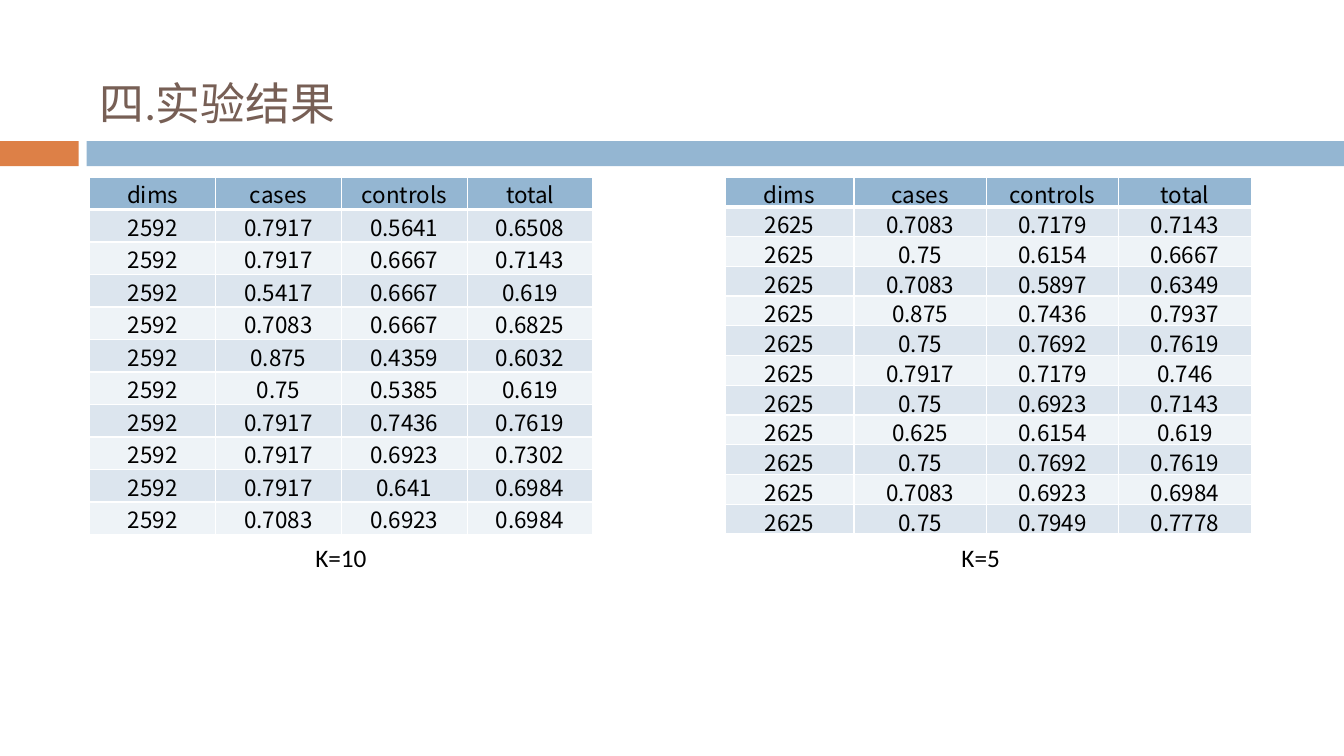
from lxml import etree
from pptx import Presentation
from pptx import util as u
from pptx.dml.color import RGBColor
from pptx.enum import shapes, text
from pptx.oxml.ns import qn

COLORS = {"orange": "DD8047", "blue": "94B6D2", "brown": "775F55", "black": "000000",
          "white": "FFFFFF", "band": "DCE5EE", "pale": "EEF3F7"}
COLORS = {name: RGBColor.from_string(value) for name, value in COLORS.items()}
HEADINGS = "dims cases controls total".split()
TABLE_TOP = 23.4
RESULTS = [
    {"caption": "K=10", "caption_left": 22.73, "left": 6.68, "widths": [9.36] * 4,
     "row": 4.3, "dims": "2592", "scores": """
     0.7917 0.5641 0.6508
     0.7917 0.6667 0.7143
     0.5417 0.6667 0.619
     0.7083 0.6667 0.6825
     0.875 0.4359 0.6032
     0.75 0.5385 0.619
     0.7917 0.7436 0.7619
     0.7917 0.6923 0.7302
     0.7917 0.641 0.6984
     0.7083 0.6923 0.6984"""},
    {"caption": "K=5", "caption_left": 70.8, "left": 53.94, "widths": [9.6] + [9.85] * 3,
     "row": 3.94, "dims": "2625", "scores": """
     0.7083 0.7179 0.7143
     0.75 0.6154 0.6667
     0.7083 0.5897 0.6349
     0.875 0.7436 0.7937
     0.75 0.7692 0.7619
     0.7917 0.7179 0.746
     0.75 0.6923 0.7143
     0.625 0.6154 0.619
     0.75 0.7692 0.7619
     0.7083 0.6923 0.6984
     0.75 0.7949 0.7778"""},
]

deck = Presentation()
deck.slide_width, deck.slide_height = u.Inches(13.33), u.Inches(7.5)
page = deck.slides.add_slide(deck.slide_layouts[6])


def area(left, top, width, height):
    across, down = deck.slide_width / 100, deck.slide_height / 100
    return [round(share) for share in (left * across, top * down, width * across, height * down)]


def write(frame, words, size, font, color):
    para = frame.paragraphs[0]
    para.text = words
    para.font.size, para.font.name = u.Pt(size), font
    para.font.color.rgb = COLORS[color]
    return para


for left, width, color in [(0, 5.85, "orange"), (6.45, 93.55, "blue")]:
    bar = page.shapes.add_shape(shapes.MSO_SHAPE.RECTANGLE, *area(left, 18.67, width, 3.33))
    bar.shadow.inherit = False
    bar.fill.solid()
    bar.fill.fore_color.rgb = COLORS[color]
    bar.line.fill.background()

title = page.shapes.add_textbox(*area(6.68, 3.33, 89.2, 14.4)).text_frame
title.word_wrap = True
title.vertical_anchor = text.MSO_ANCHOR.BOTTOM
write(title, "四.实验结果", 32, "Calibri", "brown")

for result in RESULTS:
    rows = [HEADINGS] + [[result["dims"], *line.split()]
                         for line in result["scores"].strip().splitlines()]
    place = area(result["left"], TABLE_TOP, sum(result["widths"]), result["row"] * len(rows))
    table = page.shapes.add_table(len(rows), len(HEADINGS), *place).table
    table.first_row = table.horz_banding = False
    for column, width in zip(table.columns, result["widths"]):
        column.width = area(0, 0, width, 0)[2]
    for index, values in enumerate(rows):
        table.rows[index].height = area(0, 0, 0, result["row"])[3]
        for cell, value in zip(table.rows[index].cells, values):
            cell.margin_left = cell.margin_right = cell.margin_top = u.Inches(0.01)
            cell.margin_bottom = 0
            cell.vertical_anchor = text.MSO_ANCHOR.MIDDLE
            para = write(cell.text_frame, value, 16, "Noto Sans CJK SC", "black")
            para.alignment = text.PP_ALIGN.CENTER
            properties = cell._tc.get_or_add_tcPr()
            for side in "LRTB":
                thick = (index, side) in [(0, "B"), (1, "T")]
                border = etree.SubElement(properties, qn("a:ln" + side), w=str(u.Pt(3 if thick else 1)))
                paint = etree.SubElement(border, qn("a:solidFill"))
                etree.SubElement(paint, qn("a:srgbClr"), val=str(COLORS["white"]))
            cell.fill.solid()
            cell.fill.fore_color.rgb = COLORS["blue" if index == 0 else "band" if index % 2 else "pale"]

    caption = page.shapes.add_textbox(*area(result["caption_left"], 71.07, 5.4, 5.33)).text_frame
    write(caption, result["caption"], 18, "Calibri", "black")

deck.save("out.pptx")
